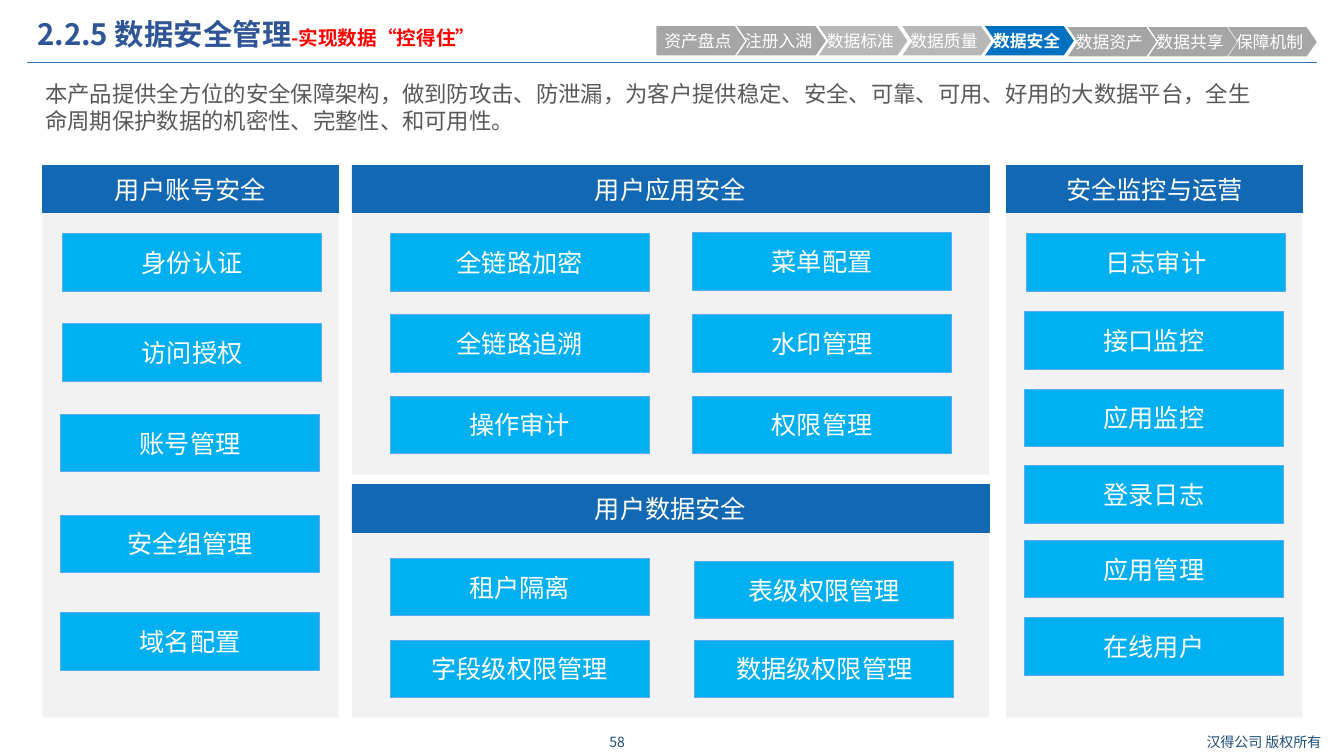
from lxml import etree
from pptx import Presentation
from pptx.dml.color import RGBColor
from pptx.enum import shapes, text
from pptx.oxml.ns import qn
from pptx.util import Inches, Pt

CJK = "Noto Sans CJK SC"
WHITE, GREY, PALE_GREY, BLUE = "FFFFFF", "A6A6A6", "B7B7B7", "0070C0"

TITLE = [
    ("2.2.5 数据安全管理", dict(size=21, color="2F5597", bold=True)),
    ("-实现数据“控得住”", dict(size=14, color="FF0000", bold=True)),
]
INTRO = ("本产品提供全方位的安全保障架构，做到防攻击、防泄漏，为客户提供稳定、安全、可靠、"
         "可用、好用的大数据平台，全生命周期保护数据的机密性、完整性、和可用性。")

# label, left, top, fill
STEPS = [
    ("资产盘点", 6.51, 0.26, GREY),
    ("注册入湖", 7.31, 0.26, GREY),
    ("数据标准", 8.12, 0.26, PALE_GREY),
    ("数据质量", 8.95, 0.26, PALE_GREY),
    ("数据安全", 9.77, 0.26, BLUE),
    ("数据资产", 10.59, 0.27, GREY),
    ("数据共享", 11.39, 0.27, GREY),
    ("保障机制", 12.18, 0.27, GREY),
]
STEP_WIDTH, STEP_HEIGHT, STEP_POINT = 0.88, 0.29, 0.1

# heading, left, top, width, panel height, items as (label, left, top)
SECTIONS = [
    ("用户账号安全", 0.42, 1.64, 2.94, 5.01, [
        ("身份认证", 0.62, 2.32), ("访问授权", 0.62, 3.21), ("账号管理", 0.6, 4.11),
        ("安全组管理", 0.6, 5.11), ("域名配置", 0.6, 6.08)]),
    ("用户应用安全", 3.49, 1.64, 6.32, 2.6, [
        ("全链路加密", 3.87, 2.32), ("菜单配置", 6.87, 2.31),
        ("全链路追溯", 3.87, 3.12), ("水印管理", 6.87, 3.12),
        ("操作审计", 3.87, 3.93), ("权限管理", 6.87, 3.93)]),
    ("用户数据安全", 3.49, 4.81, 6.32, 1.84, [
        ("租户隔离", 3.87, 5.54), ("表级权限管理", 6.89, 5.57),
        ("字段级权限管理", 3.87, 6.35), ("数据级权限管理", 6.89, 6.35)]),
    ("安全监控与运营", 9.98, 1.64, 2.94, 5.01, [
        ("日志审计", 10.18, 2.32), ("接口监控", 10.16, 3.09), ("应用监控", 10.16, 3.86),
        ("登录日志", 10.16, 4.62), ("应用管理", 10.16, 5.36), ("在线用户", 10.16, 6.13)]),
]
HEADING_HEIGHT, ITEM_WIDTH, ITEM_HEIGHT = 0.47, 2.57, 0.57


def rgb(color):
    return RGBColor.from_string(color)


def add_run(paragraph, words, size=18, color=WHITE, bold=False, font=CJK):
    run = paragraph.add_run()
    run.text = words
    run.font.size = Pt(size)
    run.font.bold = bold
    run.font.name = font
    run.font.color.rgb = rgb(color)
    etree.SubElement(run.font._element, qn("a:ea"), typeface=CJK)


def write(shape, words, align=text.PP_ALIGN.LEFT, anchor=text.MSO_ANCHOR.MIDDLE,
          line_spacing=None, **font):
    """Fill a shape with one paragraph; words is a string or a list of (text, format)."""
    frame = shape.text_frame
    frame.word_wrap = True
    frame.vertical_anchor = anchor
    paragraph = frame.paragraphs[0]
    paragraph.alignment = align
    if line_spacing:
        paragraph.line_spacing = line_spacing
    runs = [(words, font)] if isinstance(words, str) else words
    for run_words, run_format in runs:
        add_run(paragraph, run_words, **run_format)


def add_text(slide, box, words, **format):
    write(slide.shapes.add_textbox(*map(Inches, box)), words, **format)


def paint(shape, fill, line=None, alpha=None):
    shape.shadow.inherit = False
    shape.fill.solid()
    shape.fill.fore_color.rgb = rgb(fill)
    if alpha:
        color = shape._element.spPr.find(qn("a:solidFill"))[0]
        etree.SubElement(color, qn("a:alpha"), val=str(alpha * 1000))
    if line:
        shape.line.color.rgb = rgb(line)
        shape.line.width = Pt(0.5)
    else:
        shape.line.fill.background()


def add_box(slide, box, fill, line=None, alpha=None, words=None):
    shape = slide.shapes.add_shape(shapes.MSO_SHAPE.RECTANGLE, *map(Inches, box))
    paint(shape, fill, line, alpha)
    if words:
        write(shape, words, align=text.PP_ALIGN.CENTER, font="Arial")


def add_section(slide, heading, left, top, width, panel_height, items):
    add_box(slide, (left, top + HEADING_HEIGHT, width, panel_height), "D9D9D9", alpha=32)
    add_box(slide, (left, top, width, HEADING_HEIGHT), "1368B3", "1368B3", words=heading)
    for label, item_left, item_top in items:
        add_box(slide, (item_left, item_top, ITEM_WIDTH, ITEM_HEIGHT),
                "00B0F0", "5AACEC", words=label)


def add_step(slide, label, left, top, fill, first):
    """Draw one arrow of the progress bar; the first has a flat back."""
    right, bottom, middle = left + STEP_WIDTH, top + STEP_HEIGHT, top + STEP_HEIGHT / 2
    shoulder = right - STEP_POINT
    points = [(shoulder, top), (right, middle), (shoulder, bottom), (left, bottom)]
    if not first:
        points.append((left + STEP_POINT, middle))
    builder = slide.shapes.build_freeform(Inches(left), Inches(top))
    builder.add_line_segments([(Inches(x), Inches(y)) for x, y in points])
    shape = builder.convert_to_shape()
    paint(shape, fill)
    frame = shape.text_frame
    frame.margin_left = Inches(0.08)
    frame.margin_right = frame.margin_top = frame.margin_bottom = 0
    write(shape, label, size=12, bold=fill == BLUE)


def add_rule(slide):
    rule = slide.shapes.add_connector(
        shapes.MSO_CONNECTOR.STRAIGHT, *map(Inches, (0.27, 0.62, 13.06, 0.62)))
    rule.line.color.rgb = rgb("2E75B6")
    rule.line.width = Pt(0.75)
    etree.SubElement(rule._element.spPr, qn("a:effectLst"))


def main():
    presentation = Presentation()
    presentation.slide_width = Inches(13.33)
    presentation.slide_height = Inches(7.5)
    slide = presentation.slides.add_slide(presentation.slide_layouts[6])

    footer = dict(size=10, color="1F4E79", align=text.PP_ALIGN.CENTER)
    add_text(slide, (5.77, 7.23, 0.7, 0.27), "58", **footer)
    add_text(slide, (11.74, 7.23, 1.59, 0.27), "汉得公司 版权所有", **footer)
    add_rule(slide)
    add_text(slide, (0.27, 0.15, 5.51, 0.42), TITLE,
             anchor=text.MSO_ANCHOR.TOP, line_spacing=0.9)
    for section in SECTIONS:
        add_section(slide, *section)
    add_text(slide, (0.35, 0.75, 12.32, 0.64), INTRO,
             anchor=text.MSO_ANCHOR.TOP, size=16, color="595959")
    for index, step in enumerate(STEPS):
        add_step(slide, *step, first=index == 0)

    presentation.save("out.pptx")


if __name__ == "__main__":
    main()
